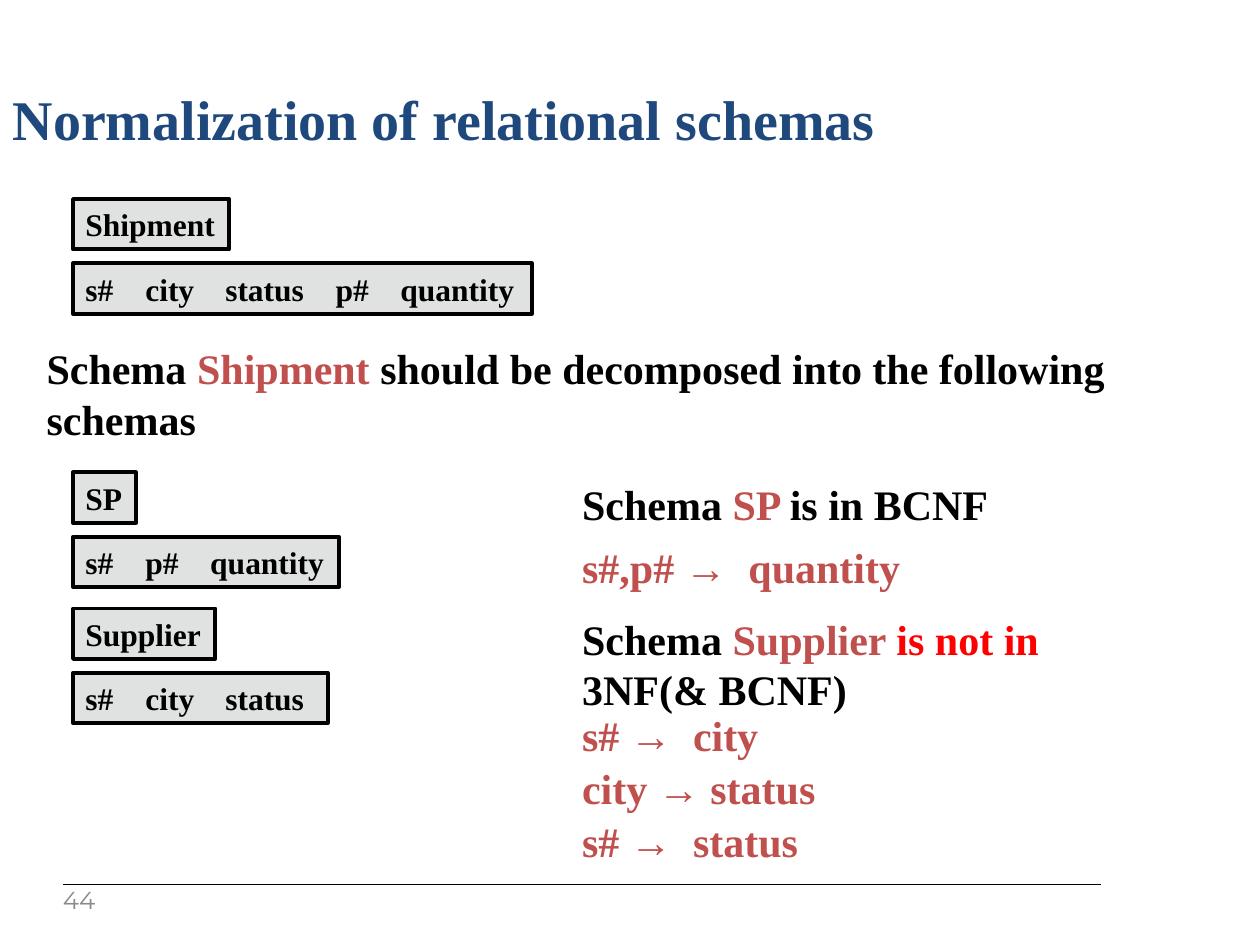
from dataclasses import dataclass

from lxml.etree import SubElement
from pptx import Presentation
from pptx.dml.color import RGBColor
from pptx.enum.shapes import MSO_CONNECTOR as Connector, MSO_SHAPE as Shape
from pptx.enum.text import MSO_ANCHOR as Anchor, MSO_AUTO_SIZE as AutoSize, PP_ALIGN as Align
from pptx.oxml.ns import qn
from pptx.util import Inches, Pt

BLACK = RGBColor(0x00, 0x00, 0x00)
NAVY = RGBColor(0x1F, 0x49, 0x7D)
BRICK = RGBColor(0xC0, 0x50, 0x4D)
RED = RGBColor(0xFF, 0x00, 0x00)
SILVER = RGBColor(0xE0, 0xE2, 0xE2)
GRAY = RGBColor(0x8B, 0x8B, 0x8B)

SLIDE_WIDTH, SLIDE_HEIGHT = Inches(10), Inches(7.5)
COLUMN, ROW = SLIDE_WIDTH / 100, SLIDE_HEIGHT / 75

SCHEMA_LEFT, SCHEMA_HEIGHT, SCHEMA_STEP = 5.8, 4, 5.1
NOTE_LEFT, NOTE_WIDTH, LINE_HEIGHT = 44.2, 49.2, 5.1

SERIF = {"name": "Times New Roman", "bold": True}
TITLE_FONT = {**SERIF, "size": Pt(32)}
NOTE_FONT = {**SERIF, "size": Pt(24)}
SCHEMA_FONT = {**SERIF, "size": Pt(18)}
NUMBER_FONT = {"name": "Montserrat", "size": Pt(14)}


@dataclass
class Schema:
    name: str
    attributes: list[str]
    top: float
    name_width: float
    width: float
    stops: list[float]


@dataclass
class Note:
    lines: list[list[tuple[str, RGBColor]]]
    top: float
    left: float = NOTE_LEFT
    width: float = NOTE_WIDTH
    height: float = LINE_HEIGHT
    stops: tuple[float, ...] = ()


SCHEMAS = [
    Schema("Shipment", ["s#", "city", "status", "p#", "quantity"], 15.8, 12.4, 36.4,
           [4.75, 11.1, 19.85, 25]),
    Schema("SP", ["s#", "p#", "quantity"], 37.5, 5, 21.1, [4.75, 9.9]),
    Schema("Supplier", ["s#", "city", "status"], 48.3, 11.3, 20.2, [4.75, 11.1]),
]

NOTES = [
    Note([[("Schema ", BLACK), ("Shipment ", BRICK),
           ("should be decomposed into the following schemas", BLACK)]],
         26.7, left=1.7, width=100, height=9.1),
    Note([[("Schema ", BLACK), ("SP ", BRICK), ("is in BCNF", BLACK)]], 37.5),
    Note([[("s#,p# →\tquantity", BRICK)]], 42.5, stops=(13.2,)),
    Note([[("Schema ", BLACK), ("Supplier ", BRICK), ("is not in", RED)],
          [("3NF(& BCNF)", BLACK)]], 48.2, width=55.8, height=9.1),
    Note([[("s# →\tcity", BRICK)]], 55.8, stops=(8.8,)),
    Note([[("city → status", BRICK)]], 60),
    Note([[("s# →\tstatus", BRICK)]], 64.2, stops=(8.8,)),
]


def place(left: float, top: float, width: float, height: float) -> list[int]:
    return [round(left * COLUMN), round(top * ROW), round(width * COLUMN), round(height * ROW)]


def set_values(target, values: dict) -> None:
    for name, value in values.items():
        setattr(target, name, value)


def add_span(para, text: str, values: dict, color: RGBColor) -> None:
    span = para.add_run()
    span.text = text
    set_values(span.font, values)
    span.font.color.rgb = color


def add_tab_stops(para, stops) -> None:
    if stops:
        tab_list = SubElement(para._p.get_or_add_pPr(), qn("a:tabLst"))
        for stop in stops:
            SubElement(tab_list, qn("a:tab"), pos=str(round(stop * COLUMN)), algn="l")


def add_schema_box(shapes, text: str, top: float, width: float, stops=()) -> None:
    box = shapes.add_shape(Shape.RECTANGLE, *place(SCHEMA_LEFT, top, width, SCHEMA_HEIGHT))
    box.shadow.inherit = False
    box.fill.solid()
    box.fill.fore_color.rgb = SILVER
    box.line.color.rgb = BLACK
    box.line.width = Pt(2.25)
    set_values(box.text_frame, {"word_wrap": True, "margin_right": 0,
                                "vertical_anchor": Anchor.TOP})
    para = box.text_frame.paragraphs[0]
    para.alignment = Align.LEFT
    add_tab_stops(para, stops)
    add_span(para, text, SCHEMA_FONT, BLACK)


def add_schema(slide, schema: Schema) -> None:
    shapes = slide.shapes.add_group_shape().shapes
    add_schema_box(shapes, schema.name, schema.top, schema.name_width)
    add_schema_box(shapes, "\t".join(schema.attributes), schema.top + SCHEMA_STEP,
                   schema.width, schema.stops)


def add_note(slide, note: Note) -> None:
    box = slide.shapes.add_textbox(*place(note.left, note.top, note.width, note.height))
    frame = box.text_frame
    set_values(frame, {"word_wrap": True, "margin_left": Inches(0.2),
                       "margin_right": Inches(0.2)})
    for index, line in enumerate(note.lines):
        para = frame.add_paragraph() if index else frame.paragraphs[0]
        add_tab_stops(para, note.stops)
        for text, color in line:
            add_span(para, text, NOTE_FONT, color)


def add_title(slide, text: str) -> None:
    title = slide.shapes.title
    set_values(title, dict(zip(("left", "top", "width", "height"), place(0, 6.2, 100, 6.7))))
    set_values(title.text_frame, {"word_wrap": True, "auto_size": AutoSize.NONE,
                                  "vertical_anchor": Anchor.TOP})
    para = title.text_frame.paragraphs[0]
    para.alignment = Align.LEFT
    add_span(para, text, TITLE_FONT, NAVY)


def add_footer(slide, number: str) -> None:
    left, top, width, _ = place(5, 70.2, 82.4, 0)
    rule = slide.shapes.add_connector(Connector.STRAIGHT, left, top, left + width, top)
    rule.line.color.rgb = BLACK
    rule.line.width = Pt(0.75)
    SubElement(rule._element.spPr, qn("a:effectLst"))
    box = slide.shapes.add_textbox(*place(5, 70.6, 4, 2.1))
    set_values(box.text_frame, {"word_wrap": True, "margin_left": 0, "margin_top": 0,
                                "vertical_anchor": Anchor.MIDDLE})
    add_span(box.text_frame.paragraphs[0], number, NUMBER_FONT, GRAY)


def main() -> None:
    deck = Presentation()
    deck.slide_width, deck.slide_height = SLIDE_WIDTH, SLIDE_HEIGHT
    slide = deck.slides.add_slide(deck.slide_layouts[5])
    add_title(slide, "Normalization of relational schemas")
    for schema in SCHEMAS:
        add_schema(slide, schema)
    for note in NOTES:
        add_note(slide, note)
    add_footer(slide, "44")
    deck.save("out.pptx")


if __name__ == "__main__":
    main()
